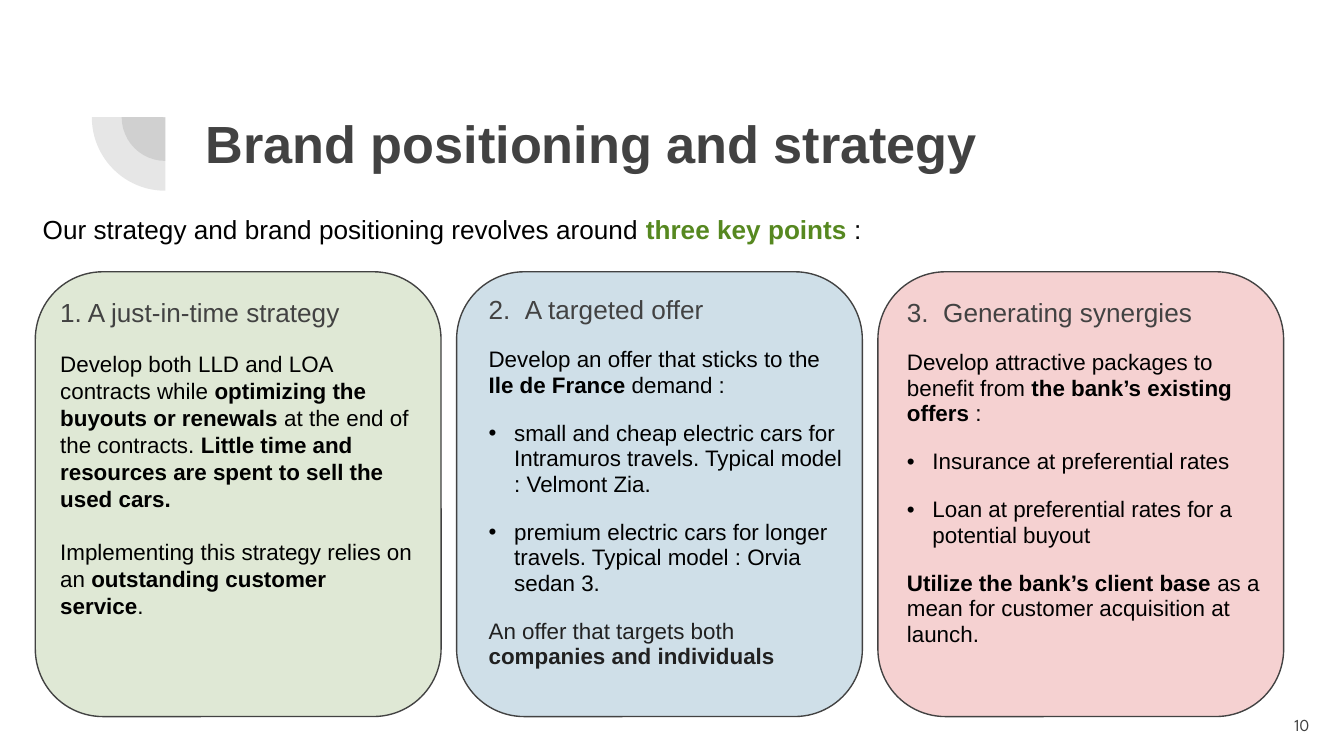
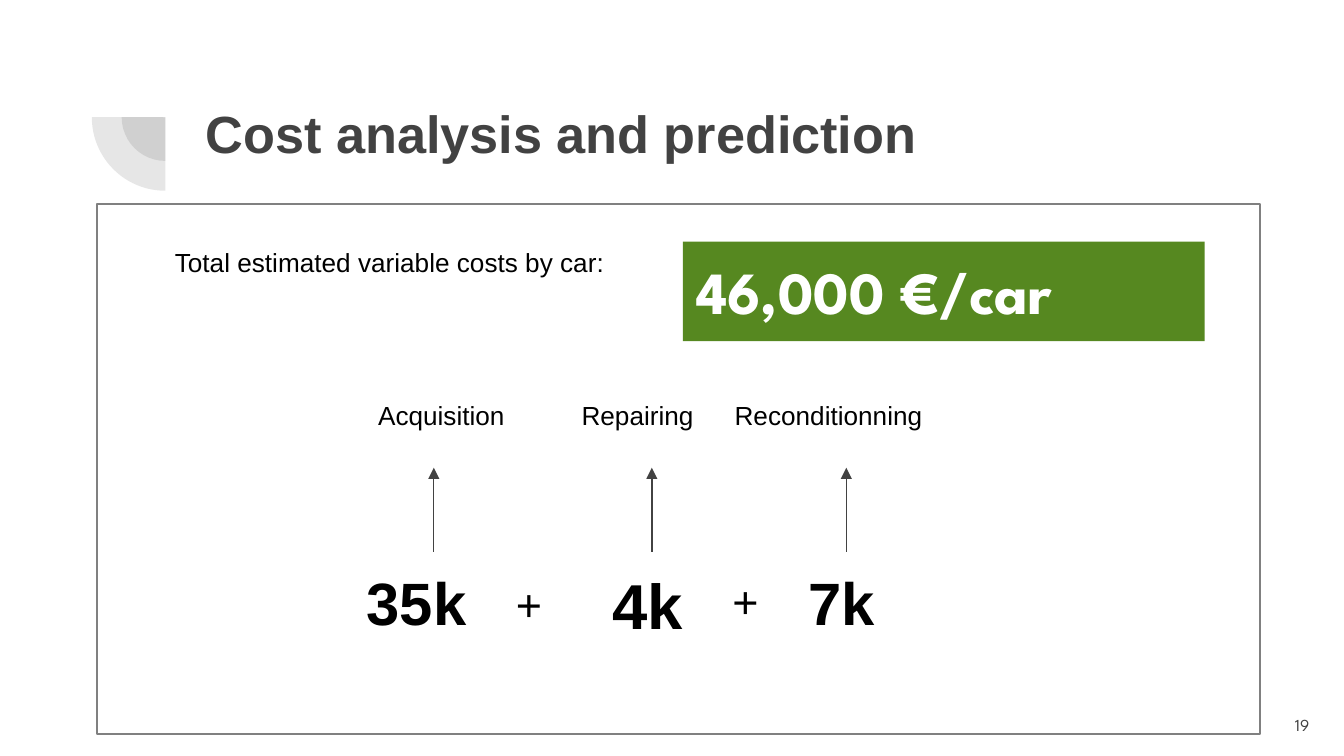
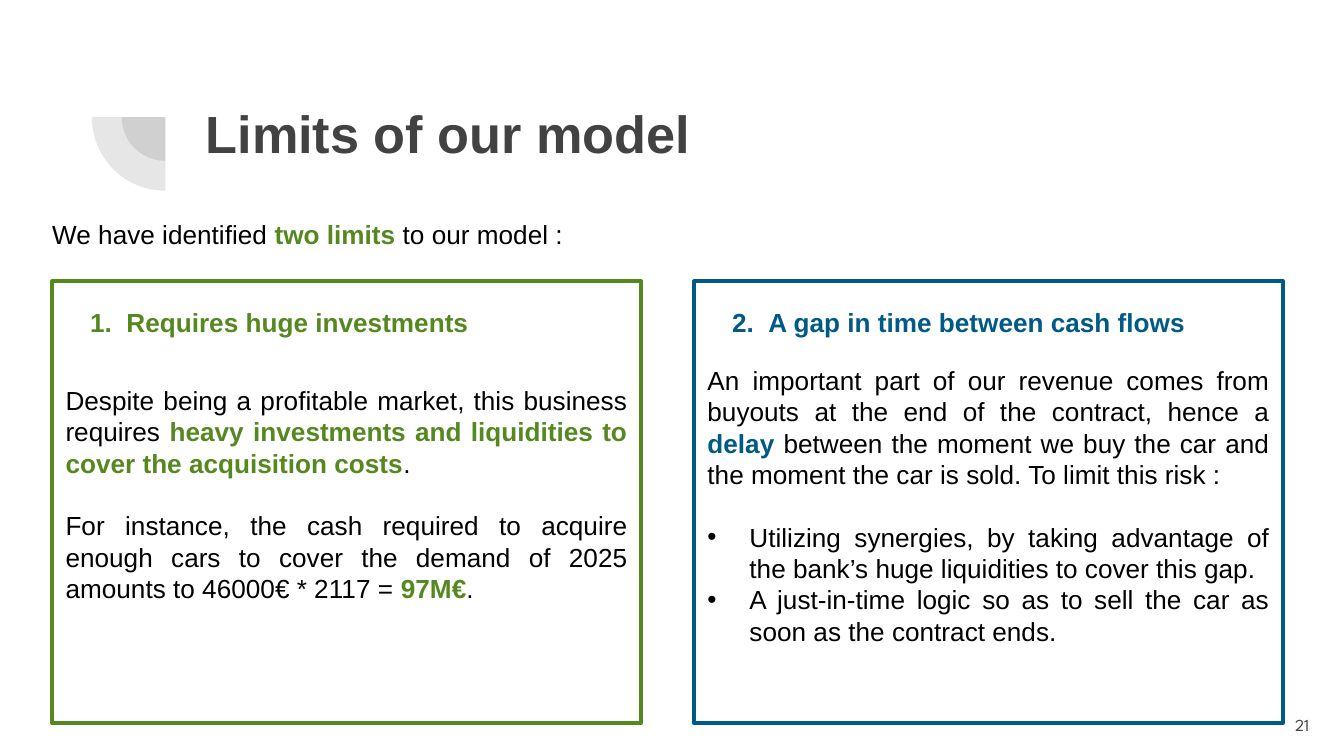
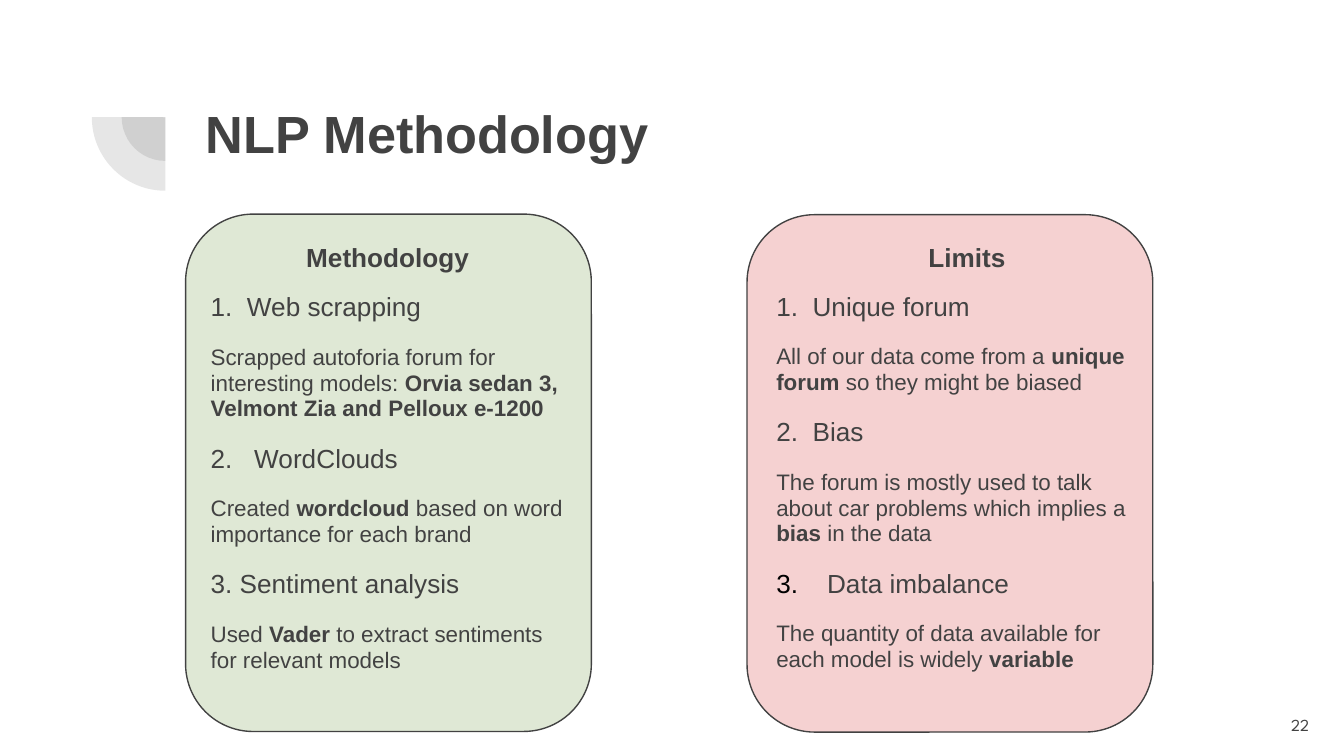
import dataclasses
import typing

import lxml.etree
import pptx
import pptx.dml.color
import pptx.enum.shapes
import pptx.enum.text
import pptx.oxml.ns
import pptx.util

Pt = pptx.util.Pt
qn = pptx.oxml.ns.qn
SHAPES = pptx.enum.shapes.MSO_SHAPE
ALIGN = pptx.enum.text.PP_ALIGN
ANCHOR = pptx.enum.text.MSO_ANCHOR


@dataclasses.dataclass(frozen=True)
class Theme:
    font: str = "Arial"
    display_font: str = "League Spartan"
    ink: str = "000000"
    grey: str = "424242"
    charcoal: str = "212121"
    frame: str = "808080"
    white: str = "FFFFFF"
    green: str = "568820"
    blue: str = "005986"
    pink: str = "F4CCCC"
    title: float = 28
    heading: float = 14
    body: float = 12
    page: float = 9
    amount: float = 32
    plus: float = 24


THEME = Theme()


class Box(typing.NamedTuple):
    left: float
    top: float
    width: float
    height: float


@dataclasses.dataclass(frozen=True)
class Para:
    """Text between double asterisks is emphasised."""

    text: str
    size: float = THEME.body
    color: str = THEME.ink
    emphasis: typing.Optional[str] = None
    bold: bool = False
    font: str = THEME.font
    align: typing.Any = ALIGN.LEFT
    spacing: typing.Optional[float] = None
    before: float = 0
    after: float = 0
    indent: float = 0
    number: int = 0
    tab: float = 0


@dataclasses.dataclass(frozen=True)
class Card:
    box: Box
    fill: str
    opacity: int


@dataclasses.dataclass(frozen=True)
class Cost:
    label: str
    label_box: Box
    amount: str
    amount_box: Box
    size: float
    arrow_x: float


def rgb(color: str) -> pptx.dml.color.RGBColor:
    return pptx.dml.color.RGBColor.from_string(color)


def add_mark(p_pr: typing.Any, tag: str, **attributes: str) -> typing.Any:
    return lxml.etree.SubElement(p_pr, qn(tag), attributes)


def add_marker(paragraph: typing.Any, para: Para) -> None:
    p_pr = paragraph._p.get_or_add_pPr()
    if para.indent:
        p_pr.set("marL", str(Pt(para.indent)))
        p_pr.set("indent", str(-Pt(para.indent)))
        add_mark(add_mark(p_pr, "a:buClr"), "a:srgbClr", val=THEME.ink)
        add_mark(p_pr, "a:buFont", typeface=THEME.font)
        if para.number:
            add_mark(p_pr, "a:buAutoNum", type="arabicPeriod", startAt=str(para.number))
        else:
            add_mark(p_pr, "a:buChar", char="•")
    if para.tab:
        stops = add_mark(p_pr, "a:tabLst")
        add_mark(stops, "a:tab", pos=str(Pt(para.tab)), algn="l")


def write(frame: typing.Any, paras: typing.Sequence[Para], inset: float = 7.2,
          anchor: typing.Any = ANCHOR.TOP) -> None:
    frame.word_wrap = True
    frame.auto_size = pptx.enum.text.MSO_AUTO_SIZE.NONE
    frame.vertical_anchor = anchor
    frame.margin_left = frame.margin_right = Pt(7.2)
    frame.margin_top = frame.margin_bottom = Pt(inset)
    for index, para in enumerate(paras):
        paragraph = frame.add_paragraph() if index else frame.paragraphs[0]
        add_marker(paragraph, para)
        paragraph.alignment = para.align
        paragraph.space_before = Pt(para.before)
        paragraph.space_after = Pt(para.after)
        if para.spacing:
            paragraph.line_spacing = para.spacing
        paragraph.font.name = para.font
        paragraph.font.size = Pt(para.size)
        paragraph.font.bold = para.bold
        paragraph.font.color.rgb = rgb(para.color)
        for position, piece in enumerate(para.text.split("**")):
            if not piece:
                continue
            run = paragraph.add_run()
            run.text = piece
            if position % 2:
                run.font.bold = True
                if para.emphasis:
                    run.font.color.rgb = rgb(para.emphasis)


def add_text(slide: typing.Any, box: Box, *paras: Para, **layout: typing.Any) -> None:
    write(slide.shapes.add_textbox(*map(Pt, box)).text_frame, paras, **layout)


def add_panel(slide: typing.Any, preset: typing.Any, box: Box, fill: str = "",
              opacity: int = 100, line: str = "", weight: float = 0.75) -> typing.Any:
    panel = slide.shapes.add_shape(preset, *map(Pt, box))
    panel.shadow.inherit = False
    if fill:
        panel.fill.solid()
        panel.fill.fore_color.rgb = rgb(fill)
        if opacity < 100:
            color = panel.element.spPr.find(qn("a:solidFill"))[0]
            add_mark(color, "a:alpha", val=str(opacity * 1000))
    else:
        panel.fill.background()
    if line:
        panel.line.color.rgb = rgb(line)
        panel.line.width = Pt(weight)
    else:
        panel.line.fill.background()
    return panel


def add_card(slide: typing.Any, card: Card) -> None:
    add_panel(slide, SHAPES.ROUNDED_RECTANGLE, card.box, card.fill, card.opacity, THEME.grey)


def add_arrow(slide: typing.Any, x: float, start: float, end: float) -> None:
    arrow = slide.shapes.add_connector(
        pptx.enum.shapes.MSO_CONNECTOR.STRAIGHT, Pt(x), Pt(start), Pt(x), Pt(end))
    arrow.line.color.rgb = rgb(THEME.grey)
    arrow.line.width = Pt(0.75)
    add_mark(arrow.line._get_or_add_ln(), "a:tailEnd", type="triangle")
    add_mark(arrow.element.spPr, "a:effectLst")


def add_slide(deck: typing.Any, title: str, page: int, title_top: float = 46.8) -> typing.Any:
    slide = deck.slides.add_slide(deck.slide_layouts[5])
    center_x, center_y = 88.6, 62.8
    for diameter in (46.8, 78.8):
        box = Box(center_x - diameter / 2, center_y - diameter / 2, diameter, diameter)
        quarter = add_panel(slide, SHAPES.PIE, box, THEME.grey, 13)
        quarter.adjustments[0] = 108
        quarter.adjustments[1] = 162
        quarter.rotation = 270
    heading = slide.shapes.title
    heading.left, heading.top, heading.width, heading.height = map(
        Pt, (103, title_top, 553.7, 78.5))
    write(heading.text_frame, [Para(title, THEME.title, THEME.grey, bold=True)])
    add_text(slide, Box(665.3, 373, 43.2, 31),
             Para(str(page), THEME.page, THEME.grey, font=THEME.display_font, align=ALIGN.RIGHT),
             anchor=ANCHOR.MIDDLE)
    return slide


def heading(text: str, tab: float = 19.45, **style: typing.Any) -> Para:
    return Para(text, THEME.heading, THEME.grey, spacing=0.95, after=12,
                tab=tab if "\t" in text else 0, **style)


def detail(text: str, color: str = THEME.ink, indent: float = 0) -> Para:
    return Para(text, color=color, spacing=0.95, after=12, indent=indent)


def justified(text: str, emphasis: str, **style: typing.Any) -> Para:
    return Para(text, THEME.heading, emphasis=emphasis, align=ALIGN.JUSTIFY, **style)


def intro(slide: typing.Any, box: Box, text: str) -> None:
    add_text(slide, box, Para(text, THEME.heading, emphasis=THEME.green), inset=3.6)


def build_strategy(deck: typing.Any) -> None:
    slide = add_slide(deck, "Brand positioning and strategy", 10, 52.6)
    intro(slide, Box(15.8, 110.9, 471.6, 24.5),
          "Our strategy and brand positioning revolves around **three key points** :")
    tints = ((THEME.green, 19), (THEME.blue, 19), (THEME.pink, 90))
    for column, (fill, opacity) in enumerate(tints):
        add_card(slide, Card(Box(18.9 + 225.7 * column, 145.6, 217.4, 238.3), fill, opacity))
    add_text(
        slide, Box(25.2, 152.6, 203.8, 244),
        heading("1. A just-in-time strategy"),
        Para("Develop both LLD and LOA contracts while **optimizing the buyouts or renewals** "
             "at the end of the contracts. **Little time and resources are spent to sell the "
             "used cars.**"),
        Para("Implementing this strategy relies on an **outstanding customer service**.",
             before=14.4))
    add_text(
        slide, Box(254.7, 151, 203.8, 206.6),
        heading("2.\tA targeted offer"),
        detail("Develop an offer that sticks to the **Ile de France** demand :"),
        detail("small and cheap electric cars for Intramuros travels. Typical model : "
               "Velmont Zia.", indent=13.7),
        detail("premium electric cars for longer travels. Typical model : Orvia sedan 3.",
               indent=13.7),
        detail("An offer that targets both **companies and individuals**", THEME.charcoal))
    add_text(
        slide, Box(478.8, 152.6, 203.8, 206.6),
        heading("3.\tGenerating synergies"),
        detail("Develop attractive packages to benefit from **the bank’s existing offers** :"),
        detail("Insurance at preferential rates", indent=13.7),
        detail("Loan at preferential rates for a potential buyout", indent=13.7),
        detail("**Utilize the bank’s client base** as a mean for customer acquisition at "
               "launch."))


def build_costs(deck: typing.Any) -> None:
    slide = add_slide(deck, "Cost analysis and prediction", 19)
    add_panel(slide, SHAPES.RECTANGLE, Box(52, 109.4, 623, 283.7), line=THEME.frame, weight=1)
    add_text(slide, Box(44.6, 124.6, 328.3, 31.7),
             Para("Total estimated variable costs by car:", THEME.heading, align=ALIGN.CENTER))
    total = add_panel(slide, SHAPES.RECTANGLE, Box(365.8, 129.5, 279.6, 53.3), THEME.green)
    write(total.text_frame, [Para("46,000 €/car", THEME.amount, THEME.white, bold=True,
                                  font=THEME.display_font)])
    costs = (
        Cost("Acquisition", Box(186.5, 206.6, 100, 31.7),
             "35k", Box(189.4, 295.9, 93.6, 53.3), THEME.amount, 232.4),
        Cost("Repairing", Box(291.6, 207, 100, 31.7),
             "4k", Box(321.1, 295.9, 98.6, 55.4), THEME.amount + 2, 349.2),
        Cost("Reconditionning", Box(379.4, 206.6, 128.9, 31.7),
             "7k", Box(426.2, 295.9, 93.6, 53.3), THEME.amount, 453.4),
    )
    for cost in costs:
        add_text(slide, cost.label_box, Para(cost.label, THEME.heading, align=ALIGN.CENTER))
        add_text(slide, cost.amount_box, Para(cost.amount, cost.size, bold=True))
        add_arrow(slide, cost.arrow_x, 295.7, 250.6)
    for left, top in ((269.3, 301.7), (385.2, 300.2)):
        add_text(slide, Box(left, top, 28.1, 43.9), Para("+", THEME.plus))


def build_limits(deck: typing.Any) -> None:
    slide = add_slide(deck, "Limits of our model", 21)
    intro(slide, Box(20.9, 113.5, 306.7, 24.5),
          "We have identified **two limits** to our model :")
    limits = (
        ("1.\tRequires huge investments", THEME.green, 198.7, (
            justified("Despite being a profitable market, this business requires **heavy "
                      "investments and liquidities to cover the acquisition costs**.",
                      THEME.green),
            justified("For instance, the cash required to acquire enough cars to cover the "
                      "demand of 2025 amounts to 46000€ * 2117 = **97M€**.",
                      THEME.green, before=16.8))),
        ("2.\tA gap in time between cash flows", THEME.blue, 187.9, (
            justified("An important part of our revenue comes from buyouts at the end of the "
                      "contract, hence a **delay** between the moment we buy the car and the "
                      "moment the car is sold. To limit this risk :", THEME.blue),
            justified("Utilizing synergies, by taking advantage of the bank’s huge "
                      "liquidities to cover this gap.", THEME.blue, before=16.8, indent=22.5),
            justified("A just-in-time logic so as to sell the car as soon as the contract "
                      "ends.", THEME.blue, indent=22.5))),
    )
    for column, (title, color, top, paras) in enumerate(limits):
        left = 28 + 343.9 * column
        add_panel(slide, SHAPES.RECTANGLE, Box(left, 150.6, 315.4, 236.9), line=color, weight=2)
        add_text(slide, Box(left + 13.2, 157, 288.7, 31.7),
                 Para(title, THEME.heading, color, bold=True, tab=19.45))
        add_text(slide, Box(left, top, 315.4, 180), *paras)


def build_methodology(deck: typing.Any) -> None:
    slide = add_slide(deck, "NLP Methodology", 22)
    columns = (
        (Card(Box(99.4, 114.7, 217.4, 277.2), THEME.green, 19), "Methodology",
         Box(119.5, 123.1, 176.4, 41.8), Box(105.8, 149.8, 203.8, 231), (
             heading("1.\tWeb scrapping"),
             detail("Scrapped autoforia forum for interesting models: **Orvia sedan 3, "
                    "Velmont Zia and Pelloux e-1200**", THEME.grey),
             heading("2.\tWordClouds", tab=23.35),
             detail("Created **wordcloud** based on word importance for each brand",
                    THEME.grey),
             heading("3. Sentiment analysis"),
             detail("Used **Vader** to extract sentiments for relevant models", THEME.grey))),
        (Card(Box(400.2, 115, 217.4, 277.2), THEME.pink, 90), "Limits",
         Box(429.8, 123.5, 176.4, 41.8), Box(408.8, 149.4, 203.8, 231), (
             heading("1.\tUnique forum"),
             detail("All of our data come from a **unique forum** so they might be biased",
                    THEME.grey),
             heading("2.\tBias"),
             detail("The forum is mostly used to talk about car problems which implies a "
                    "**bias** in the data", THEME.grey),
             heading("Data imbalance", indent=27.2, number=3),
             detail("The quantity of data available for each model is widely **variable**",
                    THEME.grey))),
    )
    for card, title, title_box, body_box, paras in columns:
        add_card(slide, card)
        add_text(slide, title_box, heading(title, bold=True, align=ALIGN.CENTER))
        add_text(slide, body_box, *paras)


def main() -> None:
    deck = pptx.Presentation()
    deck.slide_width, deck.slide_height = Pt(720), Pt(405)
    build_strategy(deck)
    build_costs(deck)
    build_limits(deck)
    build_methodology(deck)
    deck.save("out.pptx")


if __name__ == "__main__":
    main()
